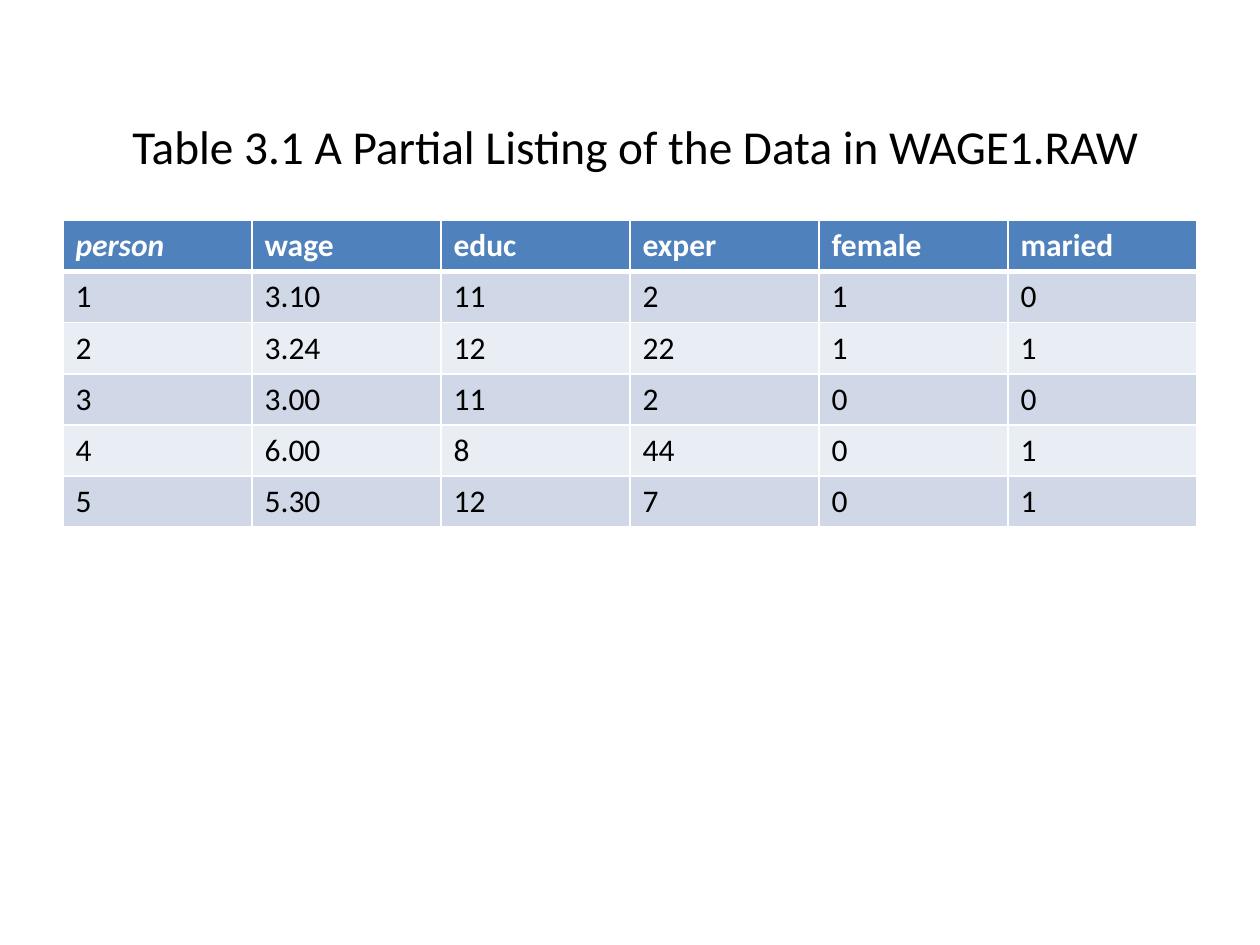
from lxml import etree
from pptx import Presentation
from pptx.dml.color import RGBColor
from pptx.enum.text import MSO_ANCHOR, PP_ALIGN
from pptx.oxml.ns import qn
from pptx.util import Pt

MIDDLE = MSO_ANCHOR.MIDDLE
CENTER = PP_ALIGN.CENTER
BLACK = RGBColor(0x00, 0x00, 0x00)
WHITE = RGBColor(0xFF, 0xFF, 0xFF)
HEADER_BLUE = RGBColor(0x4F, 0x81, 0xBD)
BAND_DARK = RGBColor(0xD0, 0xD8, 0xE8)
BAND_LIGHT = RGBColor(0xE9, 0xED, 0xF4)
FONT = "Calibri"
COLUMN_WIDTH = Pt(108)
ROW_HEIGHT = Pt(29.2)

ROWS = [
    ["person", "wage", "educ", "exper", "female", "maried"],
    ["1", "3.10", "11", "2", "1", "0"],
    ["2", "3.24", "12", "22", "1", "1"],
    ["3", "3.00", "11", "2", "0", "0"],
    ["4", "6.00", "8", "44", "0", "1"],
    ["5", "5.30", "12", "7", "0", "1"],
]


def add_span(para, text, size, color):
    span = para.add_run()
    span.text = text
    span.font.name = FONT
    span.font.size = Pt(size)
    span.font.color.rgb = color
    return span


def add_border(cell, side, width):
    """Draw a white border on one side (L, R, T or B); call before the fill is set."""
    line = etree.SubElement(cell._tc.get_or_add_tcPr(), qn(f"a:ln{side}"), w=str(Pt(width)))
    fill = etree.SubElement(line, qn("a:solidFill"))
    etree.SubElement(fill, qn("a:srgbClr"), val=str(WHITE))


deck = Presentation()
deck.slide_width = Pt(720)
deck.slide_height = Pt(540)
page = deck.slides.add_slide(deck.slide_layouts[6])

title_box = page.shapes.add_textbox(Pt(36), Pt(21.6), Pt(648), Pt(90))
frame = title_box.text_frame
frame.word_wrap = True
frame.vertical_anchor = MIDDLE
frame.margin_top = Pt(36.6)
frame.margin_left = Pt(13.2)
title = frame.paragraphs[0]
title.alignment = CENTER
add_span(title, "Table 3.1 A Partial Listing of the Data in WAGE1.RAW", 27, BLACK)

table = page.shapes.add_table(
    len(ROWS), len(ROWS[0]), Pt(36), Pt(126),
    COLUMN_WIDTH * len(ROWS[0]), ROW_HEIGHT * len(ROWS),
).table
for column in table.columns:
    column.width = COLUMN_WIDTH

for row_index, values in enumerate(ROWS):
    table.rows[row_index].height = ROW_HEIGHT
    is_header = row_index == 0
    if is_header:
        fill_color = HEADER_BLUE
    else:
        fill_color = BAND_DARK if row_index % 2 else BAND_LIGHT
    for column_index, value in enumerate(values):
        cell = table.cell(row_index, column_index)
        add_border(cell, "L", 1)
        add_border(cell, "R", 1)
        add_border(cell, "T", 3 if row_index == 1 else 1)
        add_border(cell, "B", 3 if is_header else 1)
        cell.fill.solid()
        cell.fill.fore_color.rgb = fill_color
        span = add_span(cell.text_frame.paragraphs[0], value, 18, WHITE if is_header else BLACK)
        span.font.bold = is_header
        span.font.italic = value == "person"

deck.save("out.pptx")
